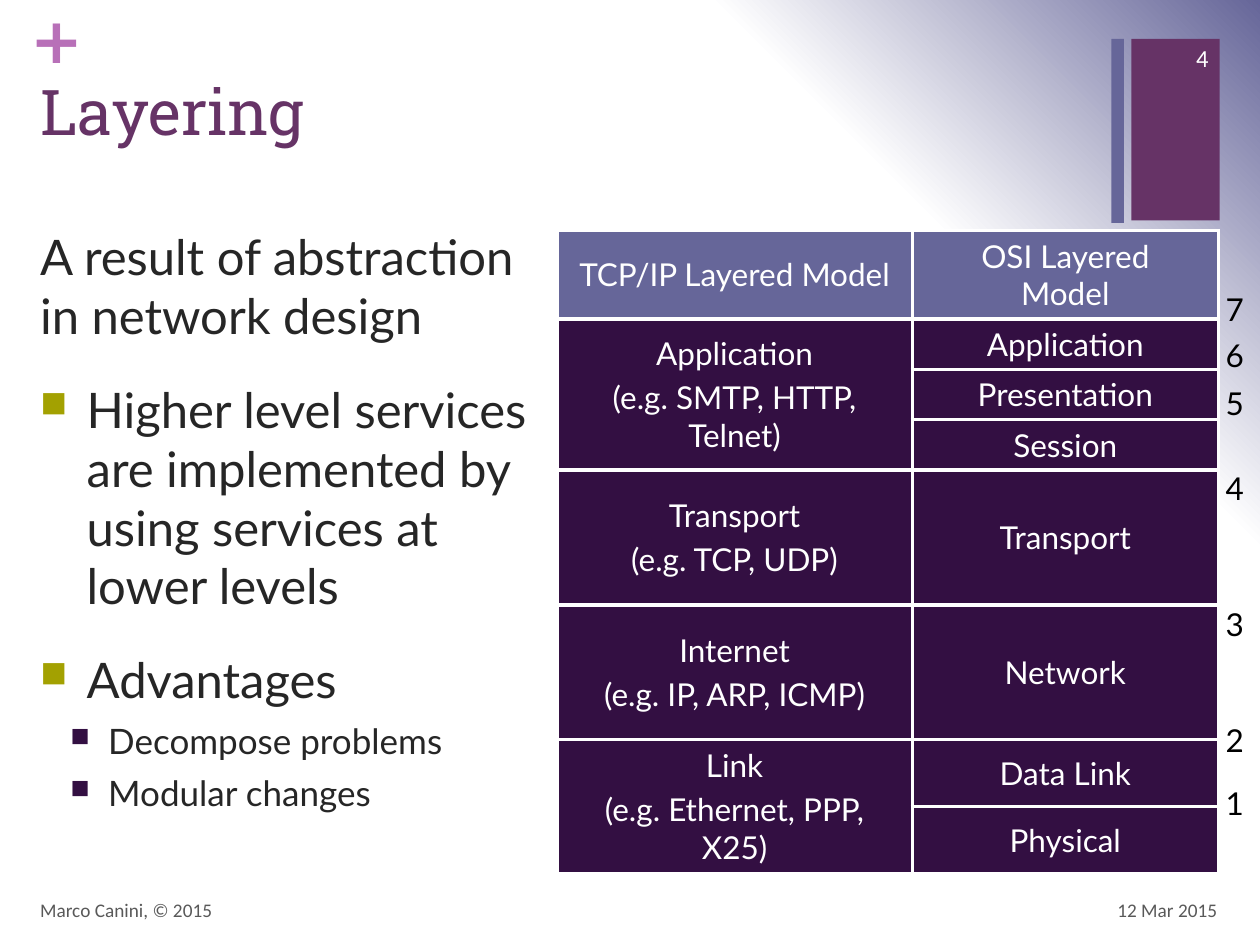
"""Build a slide comparing the TCP/IP and OSI layered models."""
from dataclasses import dataclass

from lxml import etree
from pptx import Presentation
from pptx import oxml
from pptx import util as u
from pptx.dml.color import RGBColor
from pptx.enum import shapes, text
from pptx.oxml import ns


@dataclass(frozen=True)
class Theme:
    """Colours, fonts and type sizes of the slide."""
    plum: str = "663366"
    slate: str = "666699"
    orchid: str = "B870B8"
    olive: str = "A3A101"
    night: str = "330F42"
    ink: str = "262626"
    grey: str = "595959"
    white: str = "FFFFFF"
    black: str = "000000"
    heading: str = "Roboto Slab"
    body: str = "Lato"
    small: str = "Calibri"
    symbol: str = "DejaVu Sans"
    title_size: int = 36
    body_size: int = 28
    detail_size: int = 20
    table_size: int = 18
    page_size: int = 14
    footer_size: int = 11


THEME = Theme()
LEFT, RIGHT = text.PP_ALIGN.LEFT, text.PP_ALIGN.RIGHT
MIDDLE = text.MSO_ANCHOR.MIDDLE


def set_attributes(target, values):
    """Set each named value on the target."""
    for name, value in values.items():
        setattr(target, name, value)


def fill_solid(target, colour):
    """Give a shape or cell a plain fill."""
    target.fill.solid()
    target.fill.fore_color.rgb = RGBColor.from_string(colour)


def write_paragraph(paragraph, words, font, size, colour, bold=None, **layout):
    """Write one styled run and lay out its paragraph."""
    set_attributes(paragraph, layout)
    run = paragraph.add_run()
    run.text = words
    set_attributes(run.font, {"name": font, "size": u.Pt(size), "bold": bold})
    run.font.color.rgb = RGBColor.from_string(colour)


def add_text_frame(slide, box, **frame_values):
    """Add a wrapping text box and return its frame."""
    frame = slide.shapes.add_textbox(*map(u.Inches, box)).text_frame
    set_attributes(frame, {"word_wrap": True, **frame_values})
    return frame


def add_label(slide, box, words, font, size, colour, frame_values=None, **layout):
    """Add a text box holding one paragraph."""
    frame = add_text_frame(slide, box, **(frame_values or {}))
    write_paragraph(frame.paragraphs[0], words, font, size, colour, **layout)


def add_bullet(paragraph, margin, hanging, colour):
    """Give a paragraph a square bullet with a hanging indent."""
    properties = paragraph._p.get_or_add_pPr()
    properties.set("marL", str(u.Inches(margin)))
    properties.set("indent", str(-u.Inches(hanging)))
    bullet_colour = etree.SubElement(properties, ns.qn("a:buClr"))
    etree.SubElement(bullet_colour, ns.qn("a:srgbClr"), val=colour)
    etree.SubElement(properties, ns.qn("a:buSzPct"), val="75000")
    etree.SubElement(properties, ns.qn("a:buChar"), char="■")


def paint_background(slide):
    """Fade the background from white to slate in the top right corner."""
    stops = "".join(
        f'<a:gs pos="{position * 1000}"><a:srgbClr val="{colour}"/></a:gs>'
        for position, colour in ((0, THEME.white), (75, THEME.white), (100, THEME.slate)))
    background = oxml.parse_xml(
        f'<p:bg {ns.nsdecls("p", "a")}><p:bgPr><a:gradFill rotWithShape="1">'
        f'<a:gsLst>{stops}</a:gsLst><a:path path="circle">'
        '<a:fillToRect l="0" t="100000" r="100000" b="0"/></a:path></a:gradFill>'
        '<a:effectLst/></p:bgPr></p:bg>')
    slide.element.cSld.insert(0, background)


def add_corner(slide, box):
    """Draw the page number block with its narrow side bar."""
    left, top, width, height = box
    bars = (((left, top, width, height), THEME.plum),
            ((left - 0.16, top, 0.1, height + 0.02), THEME.slate))
    for bar, colour in bars:
        shape = slide.shapes.add_shape(shapes.MSO_SHAPE.RECTANGLE, *map(u.Inches, bar))
        shape.shadow.inherit = False
        fill_solid(shape, colour)
        shape.line.fill.background()
    add_label(slide, (left + 0.1, top - 0.05, 0.61, 0.4), "4", THEME.small,
              THEME.page_size, THEME.white, {"vertical_anchor": MIDDLE}, alignment=RIGHT)


def add_heading(slide, box):
    """Write the title below its plus sign."""
    margins = dict.fromkeys(("margin_left", "margin_top", "margin_right", "margin_bottom"), 0)
    add_label(slide, (box[0] + 0.02, 0, 0.29, 0.61), "+", THEME.symbol,
              THEME.title_size, THEME.orchid, margins, bold=True)
    add_label(slide, box, "Layering", THEME.heading, THEME.title_size, THEME.plum)


def add_body(slide, box):
    """Write the statement, its points and their details."""
    point = (THEME.body_size, 20, (0.37, 0.37, THEME.olive))
    detail = (THEME.detail_size, 6, (0.54, 0.3, THEME.night))
    lines = (
        ("A result of abstraction in network design", (THEME.body_size, 0, None)),
        ("Higher level services are implemented by using services at lower levels", point),
        ("Advantages", point),
        ("Decompose problems", detail),
        ("Modular changes", detail),
    )
    frame = add_text_frame(slide, box)
    for index, (words, (size, space, bullet)) in enumerate(lines):
        paragraph = frame.add_paragraph() if index else frame.paragraphs[0]
        if bullet:
            add_bullet(paragraph, *bullet)
            paragraph.level = int(size == THEME.detail_size)
        write_paragraph(paragraph, words, THEME.body, size, THEME.ink,
                        space_before=u.Pt(space))


def add_borders(cell):
    """Draw white lines on all sides of a cell."""
    properties = cell._tc.get_or_add_tcPr()
    for index, side in enumerate(("lnL", "lnR", "lnT", "lnB")):
        line = oxml.parse_xml(
            f'<a:{side} {ns.nsdecls("a")} w="{u.Pt(2.25)}"><a:solidFill>'
            f'<a:srgbClr val="{THEME.white}"/></a:solidFill></a:{side}>')
        properties.insert(index, line)


def add_model_table(slide, box):
    """Set the TCP/IP layers beside the OSI layers they cover."""
    rows = (
        (0.18, "TCP/IP Layered Model", "OSI Layered Model"),
        (0.36, "Application\n(e.g. SMTP, HTTP, Telnet)", "Application"),
        (0.36, "", "Presentation"),
        (0.36, "", "Session"),
        (1.07, "Transport\n(e.g. TCP, UDP)", "Transport"),
        (1.07, "Internet\n(e.g. IP, ARP, ICMP)", "Network"),
        (0.53, "Link\n(e.g. Ethernet, PPP, X25)", "Data Link"),
        (0.53, "", "Physical"),
    )
    table = slide.shapes.add_table(len(rows), 2, *map(u.Inches, box)).table
    for column, width in zip(table.columns, (2.82, 2.43)):
        column.width = u.Inches(width)
    for row_index, (height, *labels) in enumerate(rows):
        table.rows[row_index].height = u.Inches(height)
        for column_index, label in enumerate(labels):
            cell = table.cell(row_index, column_index)
            set_attributes(cell, {
                "vertical_anchor": MIDDLE, "margin_left": u.Inches(0.17),
                "margin_right": u.Inches(0.17)})
            fill_solid(cell, THEME.night if row_index else THEME.slate)
            add_borders(cell)
            for index, words in enumerate(label.split("\n") if label else ()):
                frame = cell.text_frame
                paragraph = frame.add_paragraph() if index else frame.paragraphs[0]
                write_paragraph(paragraph, words, THEME.body, THEME.table_size, THEME.white,
                                alignment=text.PP_ALIGN.CENTER,
                                space_before=u.Pt(3.6 * index))
    for first, last in ((1, 3), (6, 7)):
        table.cell(first, 0).merge(table.cell(last, 0))


def add_layer_numbers(slide, box):
    """Number the OSI layers down the right edge of the table."""
    left, top, width, height = box
    values = {"word_wrap": False, "auto_size": text.MSO_AUTO_SIZE.SHAPE_TO_FIT_TEXT}
    offsets = (0, 0.37, 0.75, 1.42, 2.5, 3.42, 3.92)
    for number, offset in zip(range(7, 0, -1), offsets):
        add_label(slide, (left, top + offset, width, height), str(number),
                  THEME.body, THEME.table_size, THEME.black, values)


def add_footer(slide, box):
    """Write the author on the left and the date on the right."""
    left, top, width, height = box
    parts = (("Marco Canini, © 2015", left, 6.7, LEFT),
             ("12 Mar 2015", left + width - 2.33, 2.33, RIGHT))
    for words, start, span, alignment in parts:
        add_label(slide, (start, top, span, height), words, THEME.small, THEME.footer_size,
                  THEME.grey, {"vertical_anchor": MIDDLE}, alignment=alignment)


def main():
    """Build and save the presentation."""
    presentation = Presentation()
    set_attributes(presentation, {"slide_width": u.Inches(10), "slide_height": u.Inches(7.5)})
    slide = presentation.slides.add_slide(presentation.slide_layouts[6])
    paint_background(slide)
    add_corner(slide, (8.98, 0.31, 0.7, 1.44))
    add_heading(slide, (0.22, 0.53, 8.59, 1.22))
    add_body(slide, (0.22, 1.75, 4.2, 5.27))
    add_model_table(slide, (4.42, 1.83, 5.25, 4.8))
    add_footer(slide, (0.22, 7.02, 9.54, 0.4))
    add_layer_numbers(slide, (9.63, 2.25, 0.34, 0.4))
    presentation.save("out.pptx")


if __name__ == "__main__":
    main()
